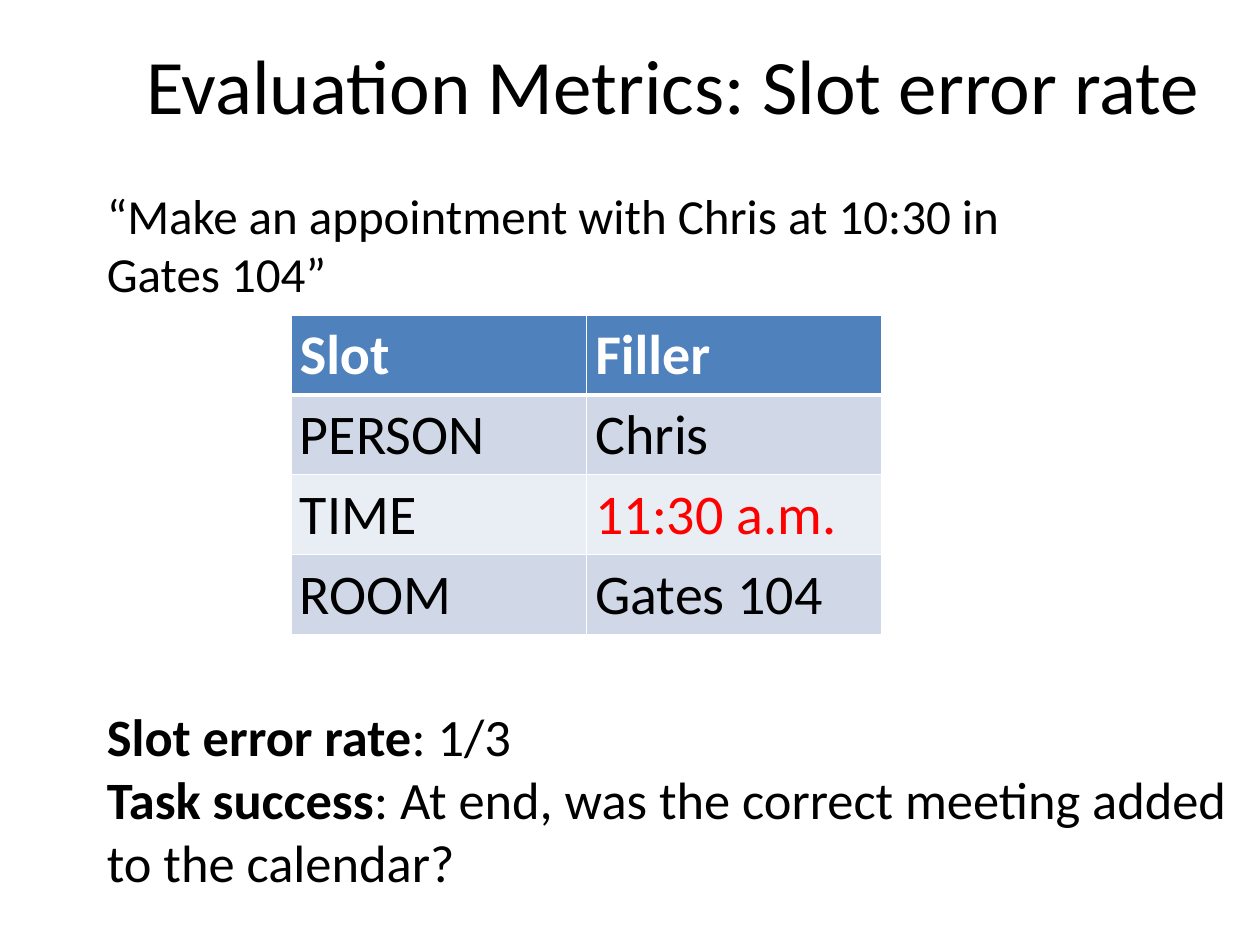
from dataclasses import dataclass

from lxml.etree import SubElement
from pptx import Presentation
from pptx.dml.color import RGBColor
from pptx.enum.text import MSO_ANCHOR, MSO_AUTO_SIZE, PP_ALIGN
from pptx.oxml.ns import qn
from pptx.util import Inches, Pt


@dataclass(frozen=True)
class Theme:
    font: str = "Calibri"
    text: str = "000000"
    light: str = "FFFFFF"
    error: str = "FF0000"
    header: str = "4F81BD"
    bands: tuple = ("D0D8E8", "E9EDF4")
    title_size: int = 44
    quote_size: int = 28
    table_size: int = 32
    result_size: int = 30
    thin_line: int = 1
    header_line: int = 3


THEME = Theme()

TITLE = "Evaluation Metrics: Slot error rate"
QUOTE = [[("“Make an appointment with Chris at 10:30 in Gates 104”", False)]]
SLOTS = [
    ("Slot", "Filler"),
    ("PERSON", "Chris"),
    ("TIME", "11:30 a.m."),
    ("ROOM", "Gates 104"),
]
WRONG_FILLERS = {"11:30 a.m."}
RESULTS = [
    [("Slot error rate", True), (": 1/3", False)],
    [("Task success", True),
     (": At end, was the correct meeting added to the calendar?", False)],
]

TITLE_BOX = (0.75, 0.25, 9.19, 0.83)
QUOTE_BOX = (0.75, 1.42, 7.44, 1.04)
TABLE_BOX = (2.31, 2.5, 4.69, 2.53)
RESULT_BOX = (0.75, 5.54, 9.25, 1.62)


def lengths(box):
    return [Inches(value) for value in box]


def add_run(paragraph, text, size, color=THEME.text, bold=False):
    run = paragraph.add_run()
    run.text = text
    run.font.name = THEME.font
    run.font.size = Pt(size)
    run.font.bold = bold
    run.font.color.rgb = RGBColor.from_string(color)


def add_title(slide):
    title = slide.shapes.title
    title.left, title.top, title.width, title.height = lengths(TITLE_BOX)
    frame = title.text_frame
    frame.auto_size = MSO_AUTO_SIZE.NONE
    frame.vertical_anchor = MSO_ANCHOR.MIDDLE
    frame.paragraphs[0].alignment = PP_ALIGN.CENTER
    add_run(frame.paragraphs[0], TITLE, THEME.title_size)


def add_text(slide, box, paragraphs, size):
    frame = slide.shapes.add_textbox(*lengths(box)).text_frame
    frame.word_wrap = True
    frame.auto_size = MSO_AUTO_SIZE.SHAPE_TO_FIT_TEXT
    for index, runs in enumerate(paragraphs):
        paragraph = frame.add_paragraph() if index else frame.paragraphs[0]
        for text, bold in runs:
            add_run(paragraph, text, size, bold=bold)


def add_borders(cell, row):
    properties = cell._tc.get_or_add_tcPr()
    widths = {
        "L": THEME.thin_line,
        "R": THEME.thin_line,
        "T": THEME.header_line if row == 1 else THEME.thin_line,
        "B": THEME.header_line if row == 0 else THEME.thin_line,
    }
    for side, width in widths.items():
        line = SubElement(properties, qn(f"a:ln{side}"), w=str(Pt(width)))
        fill = SubElement(line, qn("a:solidFill"))
        SubElement(fill, qn("a:srgbClr"), val=THEME.light)


def add_slot_table(slide):
    table = slide.shapes.add_table(
        len(SLOTS), len(SLOTS[0]), *lengths(TABLE_BOX)).table
    for row, texts in enumerate(SLOTS):
        is_header = row == 0
        fill = THEME.header if is_header else THEME.bands[(row - 1) % 2]
        for column, text in enumerate(texts):
            cell = table.cell(row, column)
            cell.margin_left = cell.margin_right = Inches(0.07)
            cell.margin_top = cell.margin_bottom = Inches(0.05)
            add_borders(cell, row)
            cell.fill.solid()
            cell.fill.fore_color.rgb = RGBColor.from_string(fill)
            color = THEME.light if is_header else THEME.text
            if text in WRONG_FILLERS:
                color = THEME.error
            add_run(cell.text_frame.paragraphs[0], text, THEME.table_size,
                    color, is_header)


def main():
    presentation = Presentation()
    presentation.slide_width = Inches(10)
    presentation.slide_height = Inches(7.5)
    slide = presentation.slides.add_slide(presentation.slide_layouts[5])
    add_title(slide)
    add_text(slide, RESULT_BOX, RESULTS, THEME.result_size)
    add_text(slide, QUOTE_BOX, QUOTE, THEME.quote_size)
    add_slot_table(slide)
    presentation.save("out.pptx")


if __name__ == "__main__":
    main()
